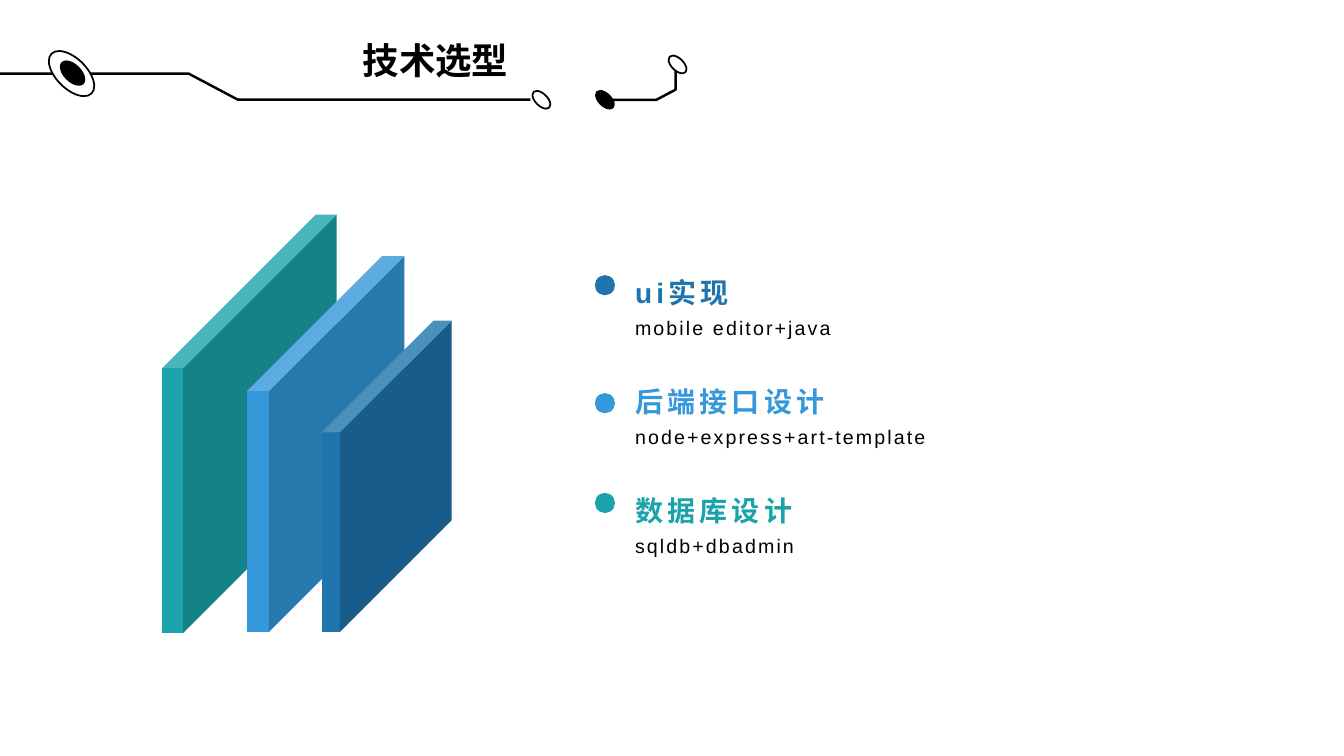
from dataclasses import dataclass

from lxml.etree import SubElement
from pptx import Presentation
from pptx.dml.color import RGBColor
from pptx.enum.shapes import MSO_SHAPE as Shape
from pptx.enum.text import MSO_ANCHOR as Anchor, PP_ALIGN as Align
from pptx.oxml.ns import qn
from pptx.util import Inches, Pt


@dataclass(frozen=True)
class Theme:
    black: str = "000000"
    white: str = "FFFFFF"
    navy: str = "1F74AD"
    sky: str = "3498DB"
    teal: str = "1AA3AA"
    latin: str = "Arial"
    cjk: str = "Noto Sans CJK SC"
    title: float = 26
    heading: float = 20
    body: float = 14
    trace: float = 1.75
    ring: float = 1.25


THEME = Theme()


def write(frame, text, *, size, color, font=THEME.latin, bold=False,
          spacing=0, leading=None, align=Align.LEFT):
    """Fill a text frame with one formatted paragraph."""
    paragraph = frame.paragraphs[0]
    paragraph.alignment = align
    if leading:
        paragraph.line_spacing = leading
    run = paragraph.add_run()
    run.text = text
    run.font.size, run.font.bold, run.font.name = Pt(size), bold, font
    run.font.color.rgb = RGBColor.from_string(color)
    properties = run.font._element
    if spacing:
        properties.set("spc", str(int(spacing * 100)))
    east_asian = SubElement(properties, qn("a:ea"))
    east_asian.set("typeface", THEME.cjk)


class SlideBuilder:
    def __init__(self, slide, theme):
        self.slide, self.theme = slide, theme

    def paint(self, shape, fill=None, line=None, width=0):
        shape.shadow.inherit = False
        if fill:
            shape.fill.solid()
            shape.fill.fore_color.rgb = RGBColor.from_string(fill)
        else:
            shape.fill.background()
        if line:
            shape.line.color.rgb = RGBColor.from_string(line)
            shape.line.width = Pt(width)
        else:
            shape.line.fill.background()

    def preset(self, kind, box, fill, **outline):
        shape = self.slide.shapes.add_shape(kind, *map(Inches, box))
        self.paint(shape, fill, **outline)
        return shape

    def trace(self, points):
        start, *rest = [(Inches(x), Inches(y)) for x, y in points]
        builder = self.slide.shapes.build_freeform(*start)
        builder.add_line_segments(rest, close=False)
        self.paint(builder.convert_to_shape(),
                   line=self.theme.black, width=self.theme.trace)

    def node(self, box, fill):
        ring = self.preset(Shape.OVAL, box, fill,
                           line=self.theme.black, width=self.theme.ring)
        ring.rotation = 314.7

    def dot(self, left, top, color):
        self.preset(Shape.OVAL, (left, top, 0.2, 0.2), color)

    def panel(self, box, depth, color):
        self.preset(Shape.CUBE, box, color).adjustments[0] = depth

    def text(self, box, text, anchor=Anchor.TOP, insets=(0.05, 0.05), **style):
        frame = self.slide.shapes.add_textbox(*map(Inches, box)).text_frame
        frame.word_wrap = True
        frame.vertical_anchor = anchor
        frame.margin_top, frame.margin_bottom = map(Inches, insets)
        write(frame, text, **style)


def main():
    deck = Presentation()
    deck.slide_width, deck.slide_height = Inches(13.33), Inches(7.5)
    page = SlideBuilder(deck.slides.add_slide(deck.slide_layouts[6]), THEME)

    # Circuit-style header
    page.trace([(-0.02, 0.73), (1.87, 0.73), (2.36, 0.99), (5.26, 0.99)])
    page.node((0.56, 0.45, 0.3, 0.56), THEME.white)
    page.node((0.64, 0.58, 0.16, 0.29), THEME.black)
    page.text((2.05, 0.33, 4.54, 0.54), "技术选型", size=THEME.title,
              color=THEME.black, font=THEME.cjk, bold=True, align=Align.CENTER)
    page.trace([(6.7, 0.67), (6.7, 0.89), (6.51, 0.99), (6.08, 0.99)])
    for left, top, fill in [(5.31, 0.88, THEME.white),
                            (5.94, 0.88, THEME.black),
                            (6.66, 0.53, THEME.white)]:
        page.node((left, top, 0.12, 0.22), fill)

    # Layered panels, back to front
    page.panel((1.61, 2.13, 1.73, 4.15), 0.88, THEME.teal)
    page.panel((2.45, 2.54, 1.56, 3.73), 0.86, THEME.sky)
    page.panel((3.19, 3.18, 1.29, 3.09), 0.86, THEME.navy)

    # Technology list
    choices = [
        ("ui实现", "mobile editor+java", THEME.navy, 2.73),
        ("后端接口设计", "node+express+art-template", THEME.sky, 3.9),
        ("数据库设计", "sqldb+dbadmin", THEME.teal, 4.89),
    ]
    for row, (heading, stack, color, dot_top) in enumerate(choices):
        top = 2.58 + 1.08 * row
        page.dot(5.9, dot_top, color)
        page.text((6.2, top, 6.53, 0.49), heading, Anchor.BOTTOM, (0.05, 0),
                  size=THEME.heading, color=color, bold=True,
                  spacing=3, leading=1.3)
        page.text((6.2, top + 0.51, 6.53, 0.49), stack, insets=(0, 0.05),
                  size=THEME.body, color=THEME.black, spacing=1.5, leading=1.2)

    deck.save("out.pptx")


if __name__ == "__main__":
    main()
